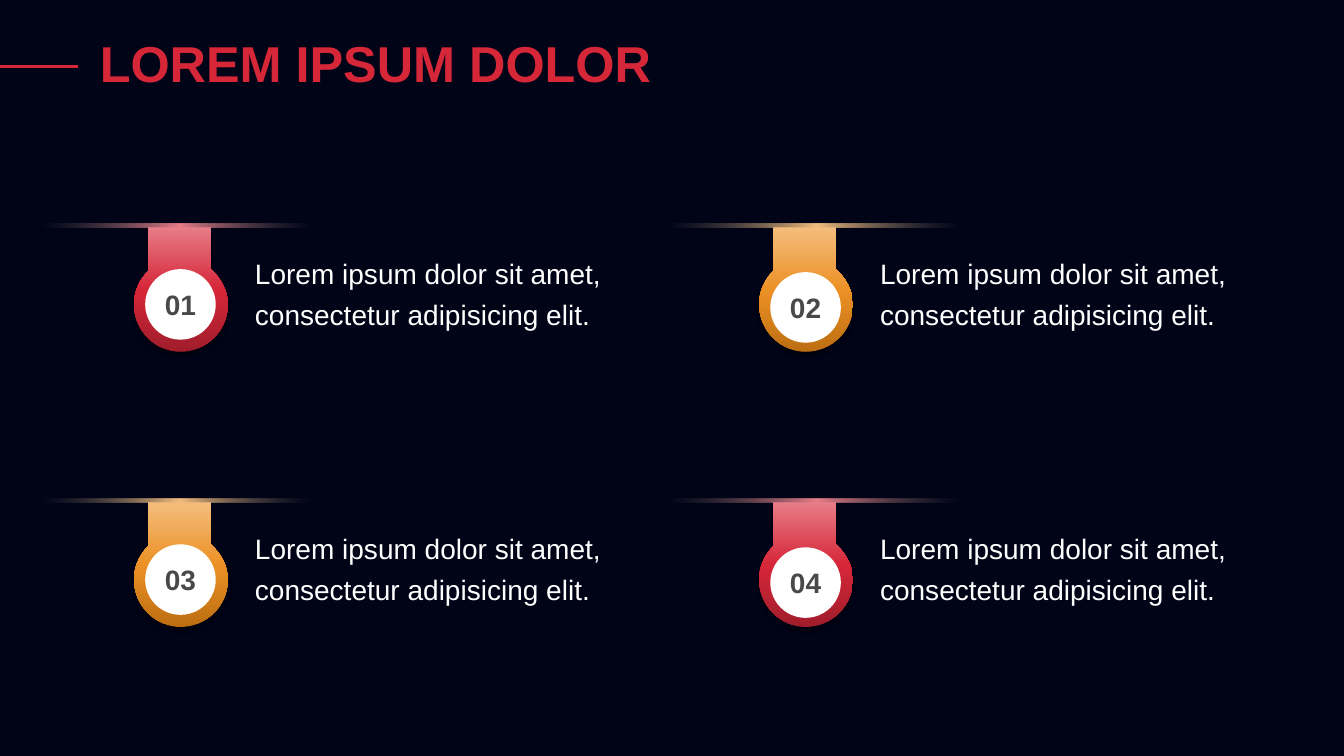
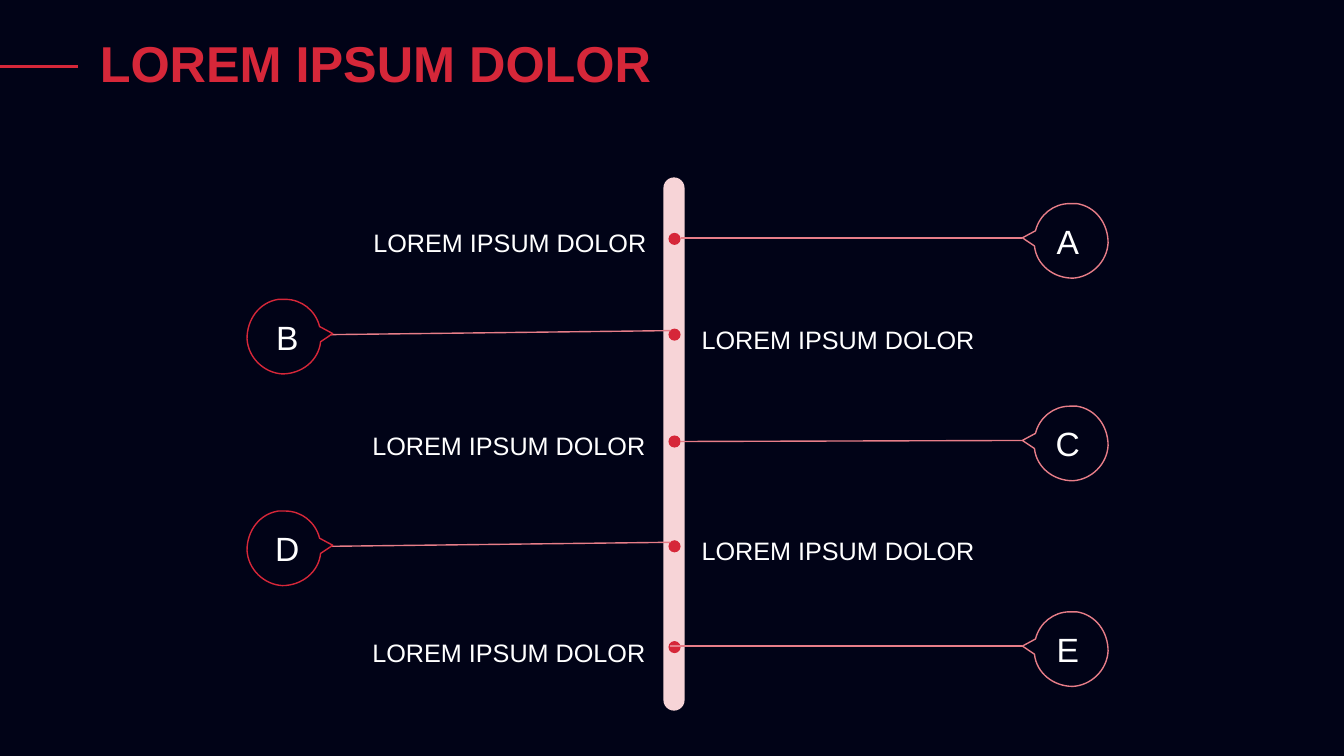
from pptx import Presentation
from pptx import util as u
from pptx.dml.color import RGBColor
from pptx.enum import shapes, text
from pptx.oxml import parse_xml
from pptx.oxml.ns import nsdecls, qn

COLORS = {
    "back": "010317", "red": "D62739", "red_dark": "A01D2B", "red_light": "E77D88",
    "orange": "EC9126", "orange_dark": "BD6E11", "orange_light": "F4BD7D",
    "pink": "F7D4D7", "fade": "5F5F5F", "white": "FFFFFF", "number": "494949",
    "shadow": "000000",
}
FONT = "Arial"
TITLE = "LOREM IPSUM DOLOR"
BODY = "Lorem ipsum dolor sit amet, consectetur adipisicing elit."
LEFT, CENTER, RIGHT = text.PP_ALIGN.LEFT, text.PP_ALIGN.CENTER, text.PP_ALIGN.RIGHT
RECT, ROUND, OVAL = (shapes.MSO_SHAPE.RECTANGLE, shapes.MSO_SHAPE.ROUNDED_RECTANGLE,
                     shapes.MSO_SHAPE.OVAL)

PIN = [
    [(0.14, 0)], [(0.76, 0)], [(0.76, 0.42)],
    [(0.86, 0.51), (0.93, 0.63), (0.93, 0.77)],
    [(0.93, 1.03), (0.72, 1.24), (0.46, 1.24)],
    [(0.21, 1.24), (0, 1.03), (0, 0.77)],
    [(0, 0.64), (0.05, 0.53), (0.14, 0.44)],
]
BUBBLE = [
    [(0.47, -0.34)],
    [(0.5, -0.34), (0.52, -0.34), (0.54, -0.34)],
    [(0.73, -0.31), (0.85, -0.14), (0.85, 0.05)],
    [(0.84, 0.24), (0.68, 0.39), (0.5, 0.4)],
    [(0.31, 0.4), (0.14, 0.27), (0.12, 0.08)],
    [(0, 0)], [(0.13, -0.07)],
    [(0.17, -0.23), (0.31, -0.34), (0.47, -0.34)],
]


def rgb(name):
    return RGBColor.from_string(COLORS[name])


def set_text(sp, words, size, color, bold=False, align=LEFT, spacing=1.0,
             insets=(0.1, 0.05, 0.1, 0.05), wrap=True):
    tf = sp.text_frame
    frame = {"word_wrap": wrap, "vertical_anchor": text.MSO_ANCHOR.MIDDLE}
    sides = ("margin_left", "margin_top", "margin_right", "margin_bottom")
    frame.update(zip(sides, map(u.Inches, insets)))
    for key, value in frame.items():
        setattr(tf, key, value)
    p = tf.paragraphs[0]
    p.alignment, p.line_spacing = align, spacing
    r = p.add_run()
    r.text = words
    for key, value in {"name": FONT, "size": u.Pt(size), "bold": bold}.items():
        setattr(r.font, key, value)
    r.font.color.rgb = rgb(color)


def add_text(parent, box, words, size, color, **fmt):
    sp = parent.add_textbox(*map(u.Inches, box))
    set_text(sp, words, size, color, **fmt)


def paint(sp, fill=None, line=None):
    sp.shadow.inherit = False
    if fill:
        sp.fill.solid()
        sp.fill.fore_color.rgb = rgb(fill)
    else:
        sp.fill.background()
    if line:
        sp.line.color.rgb = rgb(line)
        sp.line.width = u.Pt(1)
    else:
        sp.line.fill.background()


def add_shape(parent, kind, box, fill):
    sp = parent.add_shape(kind, *map(u.Inches, box))
    paint(sp, fill)
    return sp


def add_line(parent, start, end, color, width):
    cn = parent.add_connector(shapes.MSO_CONNECTOR.STRAIGHT,
                              *map(u.Inches, (*start, *end)))
    cn.line.color.rgb = rgb(color)
    cn.line.width = u.Pt(width)
    cn._element.spPr.append(parse_xml(f"<a:effectLst {nsdecls('a')}/>"))
    return cn


def set_gradient(sp, stops, angle):
    items = "".join(
        f'<a:gs pos="{pos * 1000}"><a:srgbClr val="{COLORS[name]}">'
        f'<a:alpha val="{alpha * 1000}"/></a:srgbClr></a:gs>'
        for pos, name, alpha in stops)
    spPr = sp._element.spPr
    spPr.replace(spPr.find(qn("a:solidFill")), parse_xml(
        f'<a:gradFill {nsdecls("a")} rotWithShape="1"><a:gsLst>{items}</a:gsLst>'
        f'<a:lin ang="{angle * 60000}" scaled="0"/></a:gradFill>'))


def add_drop_shadow(sp):
    sp._element.spPr.find(qn("a:effectLst")).append(parse_xml(
        f'<a:outerShdw {nsdecls("a")} blurRad="{u.Pt(4)}" dist="{u.Pt(3)}" '
        f'dir="5400000" algn="t" rotWithShape="0"><a:srgbClr val="{COLORS["shadow"]}">'
        '<a:alpha val="40000"/></a:srgbClr></a:outerShdw>'))


def add_outline(parent, origin, segments, side=1):
    x, y = origin
    points = [(u.Inches(x + side * dx), u.Inches(y + dy))
              for segment in segments for dx, dy in segment]
    fb = parent.build_freeform(*points[0])
    fb.add_line_segments(points[1:], close=True)
    sp = fb.convert_to_shape()
    steps = iter(list(sp._element.iter(qn("a:lnTo"))))
    for segment in segments[1:]:
        group = [next(steps) for _ in segment]
        if len(group) == 3:
            curve = parse_xml(f"<a:cubicBezTo {nsdecls('a')}/>")
            group[0].addprevious(curve)
            for step in group:
                curve.append(step[0])
                step.getparent().remove(step)
    return sp


def add_slide(prs):
    s = prs.slides.add_slide(prs.slide_layouts[6])
    add_text(s.shapes, (0.92, 0.19, 11.5, 0.94), TITLE, 36, "red", bold=True,
             spacing=0.9, insets=(0.07, 0.04, 0.07, 0.04))
    return s


def style_master(prs, s):
    master = prs.slide_master
    back = master.background.fill
    back.solid()
    back.fore_color.rgb = rgb("back")
    rule = add_line(s.shapes, (0, 0.66), (0.77, 0.66), "red", 2.25)._element
    rule.nvCxnSpPr.cNvPr.id = 100
    master.shapes._spTree.append(rule)


def add_pin(s, x, y, number, hue, bar_width, disc_top):
    grp = s.shapes.add_group_shape().shapes
    add_text(grp, (x + 2.01, y + 0.05, 4.28, 1.22), BODY, 20, "white", spacing=1.2)
    pin = add_outline(grp, (x + 0.91, y + 0.03), PIN)
    paint(pin, hue)
    set_gradient(pin, [(0, hue + "_dark", 100), (50, hue, 100),
                       (100, hue + "_light", 100)], 270)
    add_drop_shadow(pin)
    disc = add_shape(grp, OVAL, (x + 1.02, y + disc_top, 0.7, 0.7), "white")
    set_text(disc, number, 20, "number", bold=True, align=CENTER,
             insets=(0, 0, 0, 0), wrap=False)
    bar = add_shape(grp, RECT, (x, y, bar_width, 0.04), hue)
    set_gradient(bar, [(2, "fade", 0), (50, hue + "_light", 100), (100, "fade", 0)], 180)


def add_bubble(parent, tip, side, letter, color):
    bubble = add_outline(parent, tip, BUBBLE, side)
    paint(bubble, line=color)
    insets = (0.05, 0, 0, 0) if side > 0 else (0, 0, 0.05, 0)
    set_text(bubble, letter, 24, "white", align=CENTER, insets=insets)


def add_branch(s, y, letter, side, line_start, line_end_y, label):
    grp = s.shapes.add_group_shape().shapes
    add_shape(grp, OVAL, (6.63, y - 0.05, 0.12, 0.12), "red")
    if side > 0:
        tip_x, line_x, color, align = 10.14, 10.14, "red_light", RIGHT
    else:
        tip_x, line_x, color, align = 3.3, 3.28, "red", LEFT
    add_line(grp, line_start, (line_x, line_end_y), "red_light", 1)
    add_bubble(grp, (tip_x, y), side, letter, color)
    add_text(grp, label, TITLE, 18, "white", align=align, spacing=1.3)


def build_pins(prs):
    s = add_slide(prs)
    style_master(prs, s)
    columns = [(0.42, 2.72, 0.45), (6.62, 2.97, 0.48)]
    for i, hue in enumerate(["red", "orange", "orange", "red"]):
        row, col = divmod(i, 2)
        x, bar_width, disc_top = columns[col]
        add_pin(s, x, 2.22 + row * 2.73, f"{i + 1:02}", hue, bar_width, disc_top)


def build_timeline(prs):
    s = add_slide(prs)
    trunk = add_shape(s.shapes, ROUND, (6.58, 1.76, 0.21, 5.29), "pink")
    trunk.adjustments[0] = 0.5
    branches = [
        (2.36, "A", 1, (6.75, 2.36), 2.36, (1.83, 1.92, 4.68, 0.88)),
        (3.31, "B", -1, (6.65, 3.28), 3.32, (6.86, 2.88, 4.64, 0.88)),
        (4.37, "C", 1, (6.75, 4.38), 4.37, (1.86, 3.93, 4.64, 0.89)),
        (5.41, "D", -1, (6.65, 5.38), 5.42, (6.86, 4.98, 4.64, 0.88)),
        (6.41, "E", 1, (6.65, 6.41), 6.41, (1.86, 5.98, 4.64, 0.89)),
    ]
    for branch in branches:
        add_branch(s, *branch)


def main():
    prs = Presentation()
    prs.slide_width, prs.slide_height = u.Inches(13.33), u.Inches(7.5)
    build_pins(prs)
    build_timeline(prs)
    prs.save("out.pptx")


if __name__ == "__main__":
    main()
